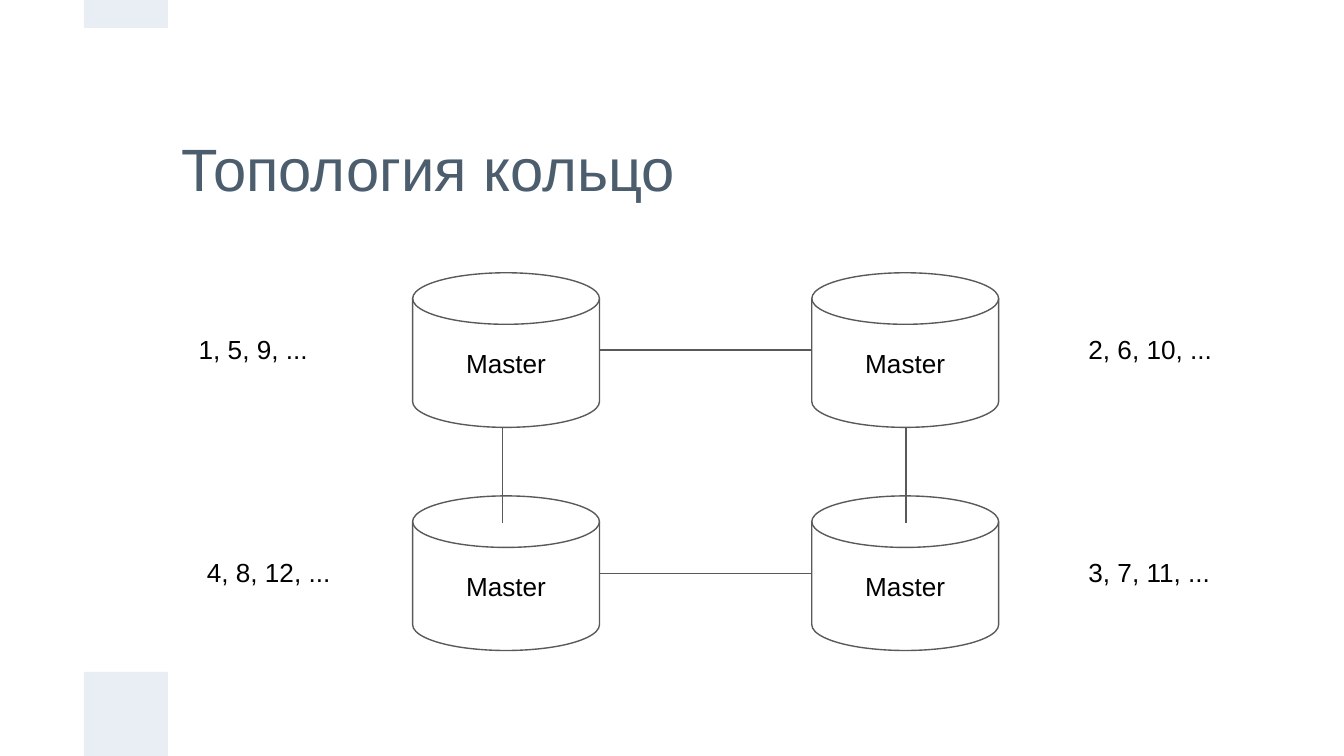
"""Build a slide showing a ring topology of four master databases."""
from lxml.etree import SubElement
from pptx import Presentation
from pptx.dml.color import RGBColor
from pptx.enum.shapes import MSO_CONNECTOR, MSO_SHAPE
from pptx.enum.text import MSO_ANCHOR, PP_ALIGN
from pptx.oxml.ns import qn
from pptx.util import Inches, Pt

COLORS = {"title": "4C5D6E", "accent": "E9EDF4", "line": "595959", "text": "000000"}
SLIDE_WIDTH = 10
SLIDE_HEIGHT = SLIDE_WIDTH * 9 / 16
UNIT = SLIDE_WIDTH / 16
TITLE = "Топология кольцо"
NODE_LABEL = "Master"
COLUMNS = (3.07, 6.04)
ROWS = (2.03, 3.69)
NODE_WIDTH, NODE_HEIGHT = 1.39, 1.15
LINK_CENTERS = (3.74, 6.74)
LINK_OVERLAP = 0.2
SEQUENCES = [
    ("1, 5, 9, ...", 1.38, 0),
    ("2, 6, 10, ...", 8, 0),
    ("3, 7, 11, ...", 8, 1),
    ("4, 8, 12, ...", 1.44, 1),
]
ACCENTS = [(SLIDE_HEIGHT - UNIT, UNIT), (0, UNIT / 3)]


def color(name):
    return RGBColor.from_string(COLORS[name])


def write(shape, text, size, color_name, align=PP_ALIGN.LEFT, anchor=MSO_ANCHOR.MIDDLE):
    frame = shape.text_frame
    frame.word_wrap = True
    frame.vertical_anchor = anchor
    frame.margin_left = frame.margin_right = Inches(0.1)
    frame.margin_top = frame.margin_bottom = Inches(0.1)
    frame.text = text
    paragraph = frame.paragraphs[0]
    paragraph.alignment = align
    paragraph.font.name = "Arial"
    paragraph.font.size = Pt(size)
    paragraph.font.color.rgb = color(color_name)


def add_title(slide):
    title = slide.shapes.title
    title.left, title.top = Inches(2 * UNIT), Inches(UNIT)
    title.width, title.height = Inches(12 * UNIT), Inches(2 * UNIT)
    write(title, TITLE, 32, "title")


def add_accent(slide, top, height):
    accent = slide.shapes.add_shape(
        MSO_SHAPE.RECTANGLE, Inches(UNIT), Inches(top), Inches(UNIT), Inches(height))
    accent.shadow.inherit = False
    accent.fill.solid()
    accent.fill.fore_color.rgb = color("accent")
    accent.line.fill.background()


def add_node(slide, left, top):
    node = slide.shapes.add_shape(
        MSO_SHAPE.FLOWCHART_MAGNETIC_DISK,
        Inches(left), Inches(top), Inches(NODE_WIDTH), Inches(NODE_HEIGHT))
    node.shadow.inherit = False
    node.fill.background()
    node.line.color.rgb = color("line")
    node.line.width = Pt(0.75)
    write(node, NODE_LABEL, 14, "text", PP_ALIGN.CENTER)


def add_link(slide, *ends):
    link = slide.shapes.add_connector(MSO_CONNECTOR.STRAIGHT, *map(Inches, ends))
    link.line.color.rgb = color("line")
    link.line.width = Pt(0.75)
    SubElement(link._element.spPr, qn("a:effectLst"))


def add_sequence(slide, text, left, row):
    box = slide.shapes.add_textbox(
        Inches(left), Inches(ROWS[row] + 0.35), Inches(1.12), Inches(0.45))
    write(box, text, 14, "text", anchor=MSO_ANCHOR.TOP)
    box.text_frame.margin_right = 0


def main():
    presentation = Presentation()
    presentation.slide_width = Inches(SLIDE_WIDTH)
    presentation.slide_height = Inches(SLIDE_HEIGHT)
    slide = presentation.slides.add_slide(presentation.slide_layouts[5])
    add_title(slide)
    for top, height in ACCENTS:
        add_accent(slide, top, height)
    for top in ROWS:
        for left in COLUMNS:
            add_node(slide, left, top)
    for top in ROWS:
        middle = top + NODE_HEIGHT / 2
        add_link(slide, COLUMNS[0] + NODE_WIDTH, middle, COLUMNS[1], middle)
    for center in LINK_CENTERS:
        add_link(slide, center, ROWS[0] + NODE_HEIGHT, center, ROWS[1] + LINK_OVERLAP)
    for text, left, row in SEQUENCES:
        add_sequence(slide, text, left, row)
    presentation.save("out.pptx")


if __name__ == "__main__":
    main()
